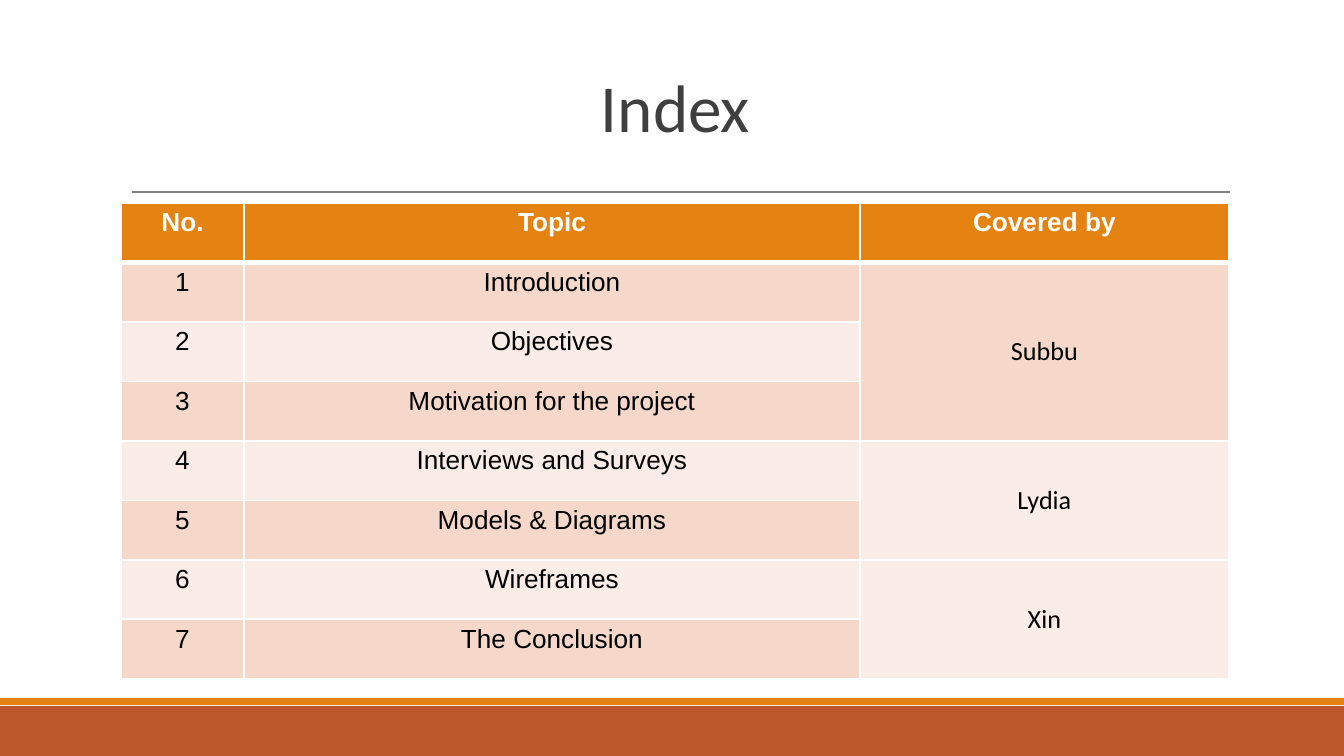
from lxml import etree
from pptx import Presentation
from pptx.dml.color import RGBColor
from pptx.enum.shapes import MSO_CONNECTOR, MSO_SHAPE
from pptx.enum.text import MSO_ANCHOR, PP_ALIGN
from pptx.oxml.ns import qn
from pptx.util import Emu, Pt

RECT = MSO_SHAPE.RECTANGLE
STRAIGHT = MSO_CONNECTOR.STRAIGHT
CENTER = PP_ALIGN.CENTER
TOP, MIDDLE = MSO_ANCHOR.TOP, MSO_ANCHOR.MIDDLE
TITLE_ONLY = 5
PX_PER_INCH = 134.4
COLORS = {
    "rust": "BD582C", "orange": "E48312", "rule": "7F7F7F", "title": "3F3F3F",
    "white": "FFFFFF", "black": "000000", "dark_band": "F5D8CA", "light_band": "FAECE6",
}
HEADERS = ["No.", "Topic", "Covered by"]
SECTIONS = [
    ("Subbu", ["Introduction", "Objectives", "Motivation for the project"]),
    ("Lydia", ["Interviews and Surveys", "Models & Diagrams"]),
    ("Xin", ["Wireframes", "The Conclusion"]),
]
COLUMN_WIDTHS = [123, 616, 369]


def px(n):
    """Turn pixels into EMU."""
    return Emu(round(n * 914400 / PX_PER_INCH))


def color(name):
    """Look up a named colour."""
    return RGBColor.from_string(COLORS[name])


def write_text(tf, text, size=14, font="Arial", ink="black", bold=False, spacing=None):
    """Write one centred, formatted paragraph."""
    p = tf.paragraphs[0]
    p.alignment = CENTER
    p.line_spacing = spacing
    r = p.add_run()
    r.text = text
    r.font.size = Pt(size)
    r.font.name = font
    r.font.bold = bold
    r.font.color.rgb = color(ink)


def add_band(s, top, height, fill):
    """Add a full-width footer band."""
    sp = s.shapes.add_shape(RECT, 0, px(top), px(1344), px(height))
    sp.shadow.inherit = False
    sp.fill.solid()
    sp.fill.fore_color.rgb = color(fill)
    sp.line.fill.background()


def add_rule(s, left, right, y):
    """Add the thin rule under the title."""
    line = s.shapes.add_connector(STRAIGHT, px(left), px(y), px(right), px(y))
    line.line.color.rgb = color("rule")
    line.line.width = Pt(0.75)
    etree.SubElement(line._element.spPr, qn("a:effectLst"))


def add_title(s, text):
    """Place and fill the title placeholder."""
    sp = s.shapes.title
    sp.left, sp.top, sp.width, sp.height = px(121), px(32), px(1109), px(160)
    tf = sp.text_frame
    tf.vertical_anchor = MIDDLE
    tf.margin_left = tf.margin_right = px(10)
    tf.margin_top = tf.margin_bottom = px(5)
    write_text(tf, text, size=36, font="Calibri", ink="title", spacing=0.85)


def set_borders(cell, top, bottom):
    """Draw white cell borders with the given top and bottom widths."""
    tc_pr = cell._tc.get_or_add_tcPr()
    for side, width in (("L", 1), ("R", 1), ("T", top), ("B", bottom)):
        ln = etree.SubElement(tc_pr, qn(f"a:ln{side}"), w=str(Pt(width)))
        fill = etree.SubElement(ln, qn("a:solidFill"))
        etree.SubElement(fill, qn("a:srgbClr"), val=COLORS["white"])


def style_cell(cell, row):
    """Give a cell its borders, fill and margins by row."""
    set_borders(cell, top=3 if row == 1 else 1, bottom=3 if row == 0 else 1)
    cell.fill.solid()
    band = "dark_band" if row % 2 else "light_band"
    cell.fill.fore_color.rgb = color(band if row else "orange")
    cell.margin_left = cell.margin_right = px(11)
    cell.margin_top = cell.margin_bottom = px(5)
    cell.vertical_anchor = TOP


def add_index_table(s, left, top, height):
    """Add the topic table with one merged presenter cell per section."""
    rows = 1 + sum(len(topics) for _, topics in SECTIONS)
    frame = s.shapes.add_table(rows, len(HEADERS), px(left), px(top),
                               px(sum(COLUMN_WIDTHS)), px(height))
    table = frame.table
    for column, width in zip(table.columns, COLUMN_WIDTHS):
        column.width = px(width)
    for i, row in enumerate(table.rows):
        row.height = px(height / rows)
        for cell in row.cells:
            style_cell(cell, i)
    for j, header in enumerate(HEADERS):
        write_text(table.cell(0, j).text_frame, header, ink="white", bold=True)
    number = 1
    for presenter, topics in SECTIONS:
        cell = table.cell(number, 2)
        cell.merge(table.cell(number + len(topics) - 1, 2))
        cell.vertical_anchor = MIDDLE
        write_text(cell.text_frame, presenter, font="Calibri")
        for topic in topics:
            write_text(table.cell(number, 0).text_frame, str(number))
            write_text(table.cell(number, 1).text_frame, topic)
            number += 1


def main():
    """Build and save the index slide."""
    prs = Presentation()
    prs.slide_width, prs.slide_height = px(1344), px(756)
    s = prs.slides.add_slide(prs.slide_layouts[TITLE_ONLY])
    add_band(s, 706, 50, "rust")
    add_band(s, 698, 7, "orange")
    add_rule(s, 132, 1230, 192)
    add_title(s, "Index")
    add_index_table(s, 121, 203, 476)
    prs.save("out.pptx")


if __name__ == "__main__":
    main()
